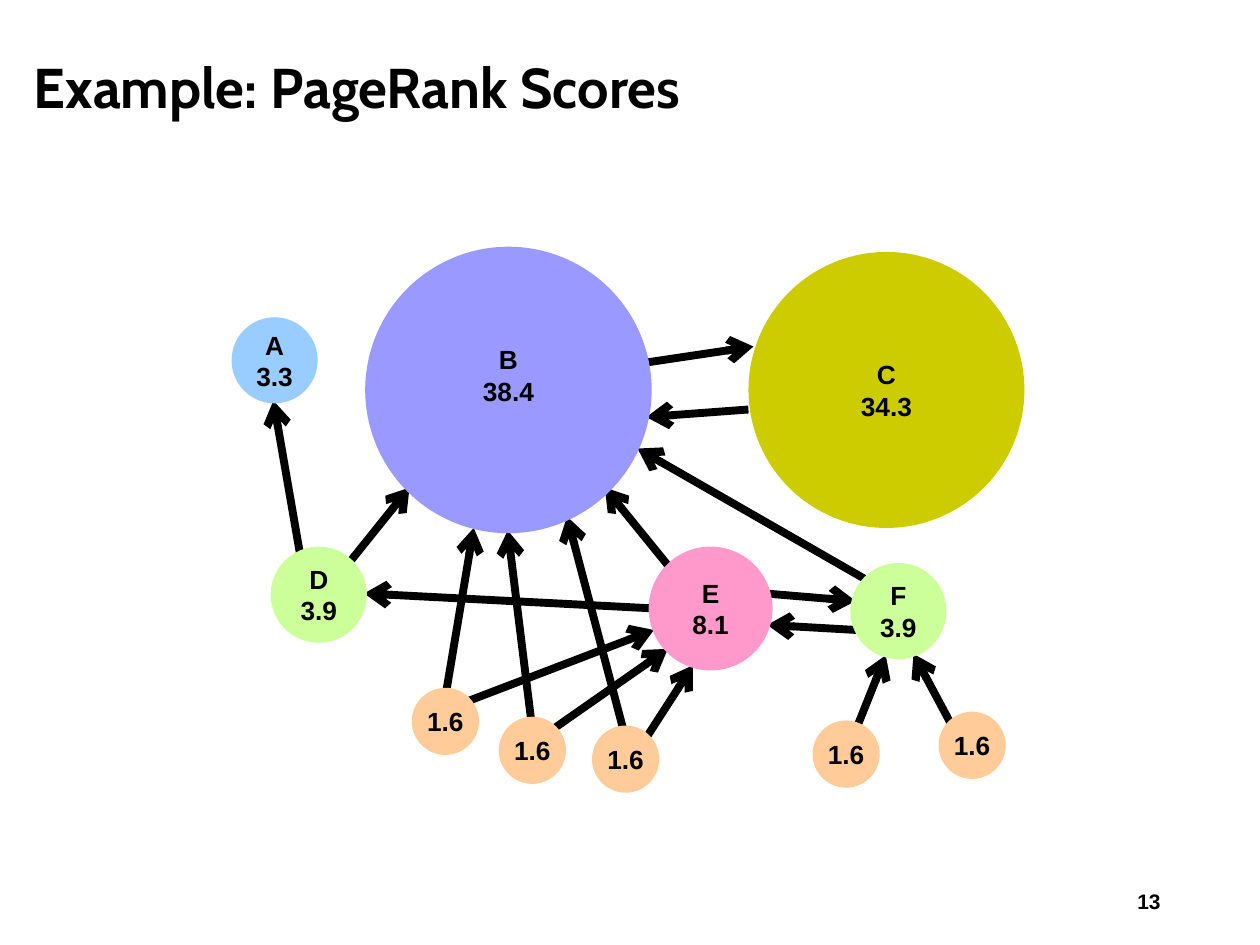
"""Build a slide showing PageRank scores as a graph of sized circles."""
import dataclasses

import lxml.etree
import pptx
import pptx.dml.color
import pptx.enum.shapes
import pptx.enum.text
import pptx.oxml.ns
import pptx.util

EMU_PER_PX = 9144
ALIGN = pptx.enum.text.PP_ALIGN


@dataclasses.dataclass(frozen=True)
class Theme:
    ink: str = "000000"
    blue: str = "99CCFF"
    violet: str = "9999FF"
    olive: str = "CCCC00"
    pink: str = "FF99CC"
    green: str = "CCFF99"
    orange: str = "FFCC99"
    title_font: str = "Cabin"
    body_font: str = "Arial"
    title_size: int = 32
    node_size: int = 15
    number_size: int = 12
    outline: float = 6
    arrow: float = 4.5


def px(length):
    return pptx.util.Emu(length * EMU_PER_PX)


def rgb(color):
    return pptx.dml.color.RGBColor.from_string(color)


def write_text(frame, text, *, size, font, color, align, insets, wrap):
    frame.word_wrap = wrap
    frame.vertical_anchor = pptx.enum.text.MSO_ANCHOR.MIDDLE
    frame.margin_left, frame.margin_top, frame.margin_right, frame.margin_bottom = map(px, insets)
    frame.text = text
    for paragraph in frame.paragraphs:
        paragraph.alignment = align
        paragraph.font.name = font
        paragraph.font.size = pptx.util.Pt(size)
        paragraph.font.bold = True
        paragraph.font.color.rgb = rgb(color)


class Canvas:
    def __init__(self, slide, theme):
        self.slide = slide
        self.theme = theme

    def text(self, text, left, top, width, height, *, size, font, align=ALIGN.LEFT):
        box = self.slide.shapes.add_textbox(px(left), px(top), px(width), px(height))
        write_text(box.text_frame, text, size=size, font=font, color=self.theme.ink,
                   align=align, insets=(10, 5, 10, 5), wrap=True)

    def arrow(self, start, end):
        connector = self.slide.shapes.add_connector(
            pptx.enum.shapes.MSO_CONNECTOR.STRAIGHT, *map(px, start + end))
        connector.line.color.rgb = rgb(self.theme.ink)
        connector.line.width = pptx.util.Pt(self.theme.arrow)
        tail = lxml.etree.SubElement(connector.line._get_or_add_ln(), pptx.oxml.ns.qn("a:tailEnd"))
        tail.set("type", "arrow")
        lxml.etree.SubElement(connector._element.spPr, pptx.oxml.ns.qn("a:effectLst"))

    def node(self, text, left, top, diameter, color, *, outlined=True, lift=0):
        circle = self.slide.shapes.add_shape(
            pptx.enum.shapes.MSO_SHAPE.OVAL, px(left), px(top), px(diameter), px(diameter))
        circle.shadow.inherit = False
        circle.fill.solid()
        circle.fill.fore_color.rgb = rgb(color)
        if outlined:
            circle.line.color.rgb = rgb(color)
            circle.line.width = pptx.util.Pt(self.theme.outline)
        else:
            circle.line.fill.background()
        write_text(circle.text_frame, text, size=self.theme.node_size, font=self.theme.body_font,
                   color=self.theme.ink, align=ALIGN.CENTER, insets=(0, 0, 0, lift), wrap=False)


def main():
    theme = Theme()
    presentation = pptx.Presentation()
    presentation.slide_width, presentation.slide_height = px(1000), px(750)
    canvas = Canvas(presentation.slides.add_slide(presentation.slide_layouts[6]), theme)

    canvas.text("Example: PageRank Scores", 17, 12, 950, 112,
                size=theme.title_size, font=theme.title_font)

    links = [
        ((511, 288), (598, 275)),
        ((594, 325), (513, 331)),
        ((532, 451), (480, 387)),
        ((276, 448), (325, 387)),
        ((238, 439), (217, 318)),
        ((354, 550), (376, 419)),
        ((370, 557), (519, 500)),
        ((521, 483), (289, 471)),
        ((422, 575), (403, 421)),
        ((437, 580), (530, 515)),
        ((512, 587), (550, 528)),
        ((496, 584), (450, 410)),
        ((679, 580), (703, 520)),
        ((755, 575), (725, 519)),
        ((689, 461), (506, 356)),
        ((680, 500), (609, 496)),
        ((607, 471), (679, 477)),
    ]
    for start, end in links:
        canvas.arrow(start, end)

    canvas.node("B\n38.4", 294, 200, 219, theme.violet, lift=24)
    canvas.node("C\n34.3", 594, 200, 219, theme.olive, outlined=False)
    canvas.node("E\n8.1", 519, 438, 90, theme.pink)
    canvas.node("F\n3.9", 679, 451, 68, theme.green)
    canvas.node("D\n3.9", 219, 438, 68, theme.green)
    canvas.node("A\n3.3", 188, 256, 60, theme.blue)
    for left, top in [(331, 550), (400, 573), (474, 580), (649, 576), (749, 569)]:
        canvas.node("1.6", left, top, 45, theme.orange)

    canvas.text("13", 706, 695, 225, 40,
                size=theme.number_size, font=theme.body_font, align=ALIGN.RIGHT)
    presentation.save("out.pptx")


if __name__ == "__main__":
    main()
